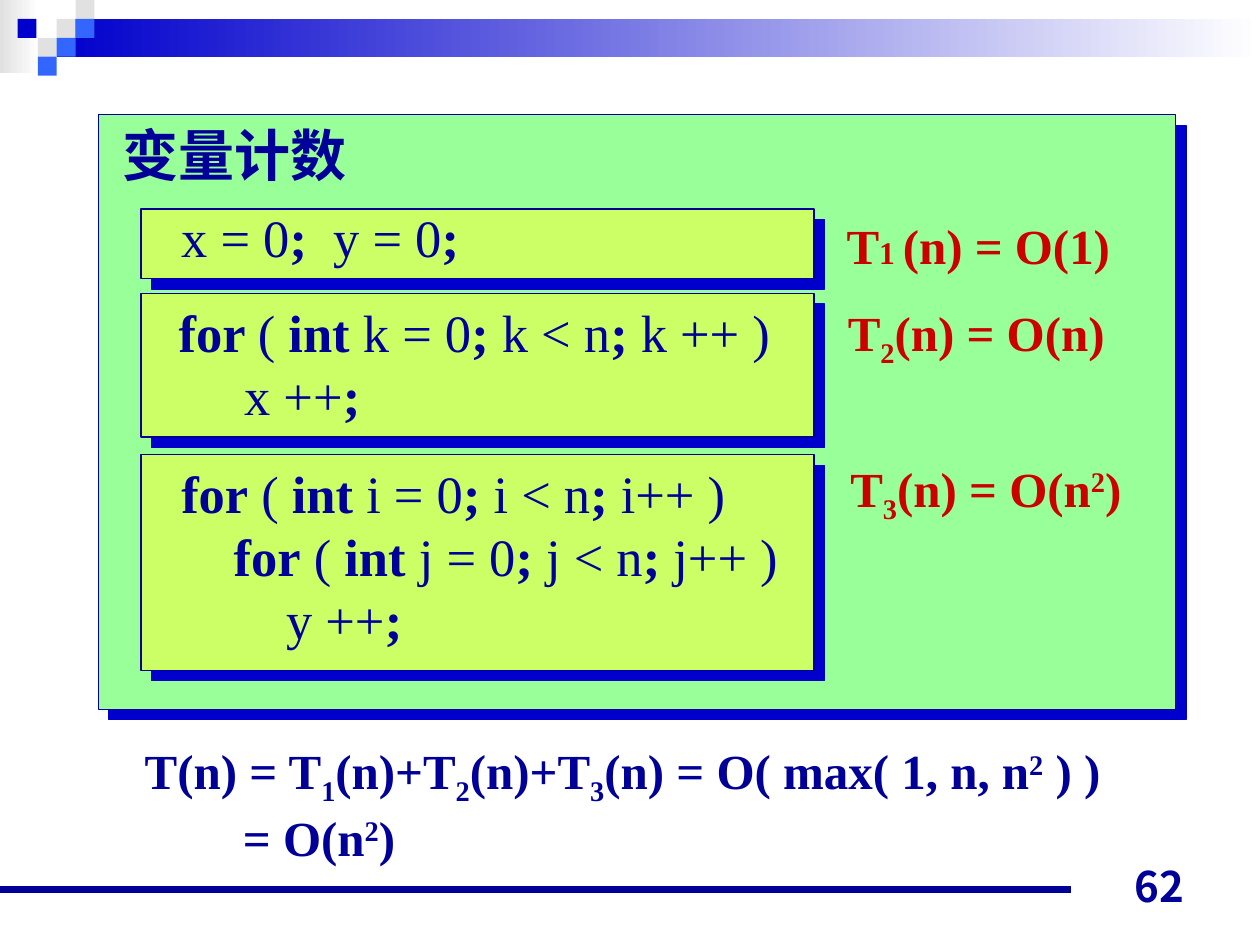
import lxml.etree
import pptx
import pptx.dml.color
import pptx.enum.shapes
import pptx.enum.text
import pptx.oxml.ns
import pptx.util
from pptx.util import Inches

COLORS = {
    "navy": "000099", "blue": "0000CC", "sky": "3366FF", "gray": "E1E1E1",
    "white": "FFFFFF", "green": "99FF99", "lime": "CCFF66", "red": "CC0000",
}
SERIF = "Times New Roman"
SANS = "Noto Sans CJK JP"
SHIFTS = {"~": -25000, "^": 30000}


def rgb(name):
    """Return the named colour."""
    return pptx.dml.color.RGBColor.from_string(COLORS[name])


def add_rectangle(slide, left, top, width, height, color):
    """Add a plain filled rectangle, measured in inches."""
    shape = slide.shapes.add_shape(
        pptx.enum.shapes.MSO_SHAPE.RECTANGLE,
        Inches(left), Inches(top), Inches(width), Inches(height))
    shape.shadow.inherit = False
    shape.fill.solid()
    shape.fill.fore_color.rgb = rgb(color)
    shape.line.fill.background()
    return shape


def add_gradient(slide, left, top, width, height, color):
    """Add a rectangle fading from a colour at the left to white."""
    shape = add_rectangle(slide, left, top, width, height, color)
    shape.fill.gradient()
    shape.fill.gradient_angle = 0
    for stop, name in zip(shape.fill.gradient_stops, (color, "white")):
        stop.color.rgb = rgb(name)


def add_panel(slide, left, top, width, height, color):
    """Add an outlined rectangle with a hard blue shadow."""
    shape = add_rectangle(slide, left, top, width, height, color)
    shape.line.color.rgb = rgb("navy")
    shape.line.width = pptx.util.Pt(0.75)
    qn = pptx.oxml.ns.qn
    effects = shape._element.spPr.find(qn("a:effectLst"))
    shadow = lxml.etree.SubElement(
        effects, qn("a:outerShdw"), dist=str(pptx.util.Pt(8.5)), dir="2700000",
        algn="ctr", rotWithShape="0")
    lxml.etree.SubElement(shadow, qn("a:srgbClr"), val=COLORS["blue"])


def split_runs(markup):
    """Yield text and style; | toggles bold, ~ subscript, ^ superscript, @ small."""
    text, bold, small, baseline = "", False, False, 0
    for character in markup + "|":
        if character not in "|~^@":
            text += character
            continue
        if text:
            yield text, bold, small, baseline
        text = ""
        if character == "|":
            bold = not bold
        elif character == "@":
            small = not small
        else:
            baseline = 0 if baseline else SHIFTS[character]


def add_text(slide, left, top, width, height, lines, size, color="navy"):
    """Add a text box with one paragraph for each marked-up line."""
    box = slide.shapes.add_textbox(
        Inches(left), Inches(top), Inches(width), Inches(height))
    frame = box.text_frame
    frame.word_wrap = False
    frame.auto_size = pptx.enum.text.MSO_AUTO_SIZE.SHAPE_TO_FIT_TEXT
    for index, line in enumerate(lines):
        paragraph = frame.paragraphs[0] if index == 0 else frame.add_paragraph()
        for text, bold, small, baseline in split_runs(line):
            run = paragraph.add_run()
            run.text = text
            run.font.name = SERIF
            run.font.size = pptx.util.Pt(18 if small else size)
            run.font.bold = bold
            run.font.color.rgb = rgb(color)
            if baseline:
                run.font._element.set("baseline", str(baseline))
    return frame


def add_header(slide, left, top, width):
    """Draw the fading bar and the mosaic of small squares."""
    add_gradient(slide, left, top, 0.31, 0.58, "gray")
    add_gradient(slide, left + 0.45, top + 0.15, width - 0.45, 0.3, "blue")
    squares = [(3, 1, "gray"), (4, 0, "gray"), (4, 1, "sky"), (2, 2, "gray"),
               (0.93, 1, "blue"), (3, 2, "sky"), (2, 3, "sky")]
    for column, row, color in squares:
        add_rectangle(slide, left + 0.15 * column, top + 0.15 * row,
                      0.15, 0.15, color)


def add_code_panel(slide, left, top, width, height):
    """Draw the titled panel with code blocks and their running times."""
    add_panel(slide, left, top, width, height, "green")
    add_text(slide, left + 0.09, top, 2.05, 0.64, ["|变量计数"], 32)
    blocks = [
        (2.7, 1.71, 0.56, 2.7, 5.05, [
            "|for| (| int |i = 0|;| i < n|;| i++ )",
            "    |for| (| int| j = 0|;| j < n|;| j++ )",
            "        y ++|;"]),
        (1.42, 1.14, 0.54, 1.42, 5.05, [
            "|for |(| int| k = 0|;| k < n|;| k ++ )",
            "     x ++|;"]),
        (0.75, 0.55, 0.56, 0.67, 2.5, ["x = 0|;|  y = 0|;"]),
    ]
    for offset, block_height, text_left, text_top, text_width, lines in blocks:
        add_panel(slide, left + 0.34, top + offset, 5.34, block_height, "lime")
        add_text(slide, left + text_left, top + text_top, text_width,
                 0.1 + 0.5 * len(lines), lines, 30)
    times = [(5.84, 0.75, 0.57, "|T@1 @(n) = O(1)"),
             (5.85, 1.44, 0.63, "|T~2~(n) = O(n)"),
             (5.87, 2.68, 0.63, "|T~3~(n) = O(n^2^)")]
    for label_left, label_top, label_height, label in times:
        add_text(slide, left + label_left, top + label_top, 2.45, label_height,
                 [label], 28, "red")


def add_total(slide, left, top, width, height):
    """Write the sum of the running times."""
    frame = add_text(slide, left, top, width, height, [
        "|T(n) = T~1~(n)+T~2~(n)+T~3~(n) = O( max( 1, n, n^2^ ) )",
        "|= O(n^2^)"], 28)
    properties = frame.paragraphs[1]._p.get_or_add_pPr()
    properties.set("marL", str(Inches(0.78)))


def add_footer(slide, left, top, width, height):
    """Draw the rule and the slide number."""
    rule = slide.shapes.add_connector(
        pptx.enum.shapes.MSO_CONNECTOR.STRAIGHT, Inches(left),
        Inches(top + 0.28), Inches(left + 8.5), Inches(top + 0.28))
    rule.line.color.rgb = rgb("navy")
    rule.line.width = pptx.util.Pt(4.5)
    lxml.etree.SubElement(rule._element.spPr, pptx.oxml.ns.qn("a:effectLst"))
    frame = add_text(slide, left + width - 2.83, top, 2.33, height, ["|62"], 24)
    frame.auto_size = pptx.enum.text.MSO_AUTO_SIZE.NONE
    frame.word_wrap = True
    frame.vertical_anchor = pptx.enum.text.MSO_ANCHOR.BOTTOM
    paragraph = frame.paragraphs[0]
    paragraph.alignment = pptx.enum.text.PP_ALIGN.RIGHT
    paragraph.runs[0].font.name = SANS


def main():
    """Build the slide and save it."""
    presentation = pptx.Presentation()
    presentation.slide_width = Inches(10)
    presentation.slide_height = Inches(7.5)
    slide = presentation.slides.add_slide(presentation.slide_layouts[6])
    add_header(slide, 0, 0, 10)
    add_footer(slide, 0, 6.78, 10, 0.5)
    add_total(slide, 1.05, 5.83, 7.85, 1.1)
    add_code_panel(slide, 0.78, 0.91, 8.55, 4.72)
    presentation.save("out.pptx")


if __name__ == "__main__":
    main()
